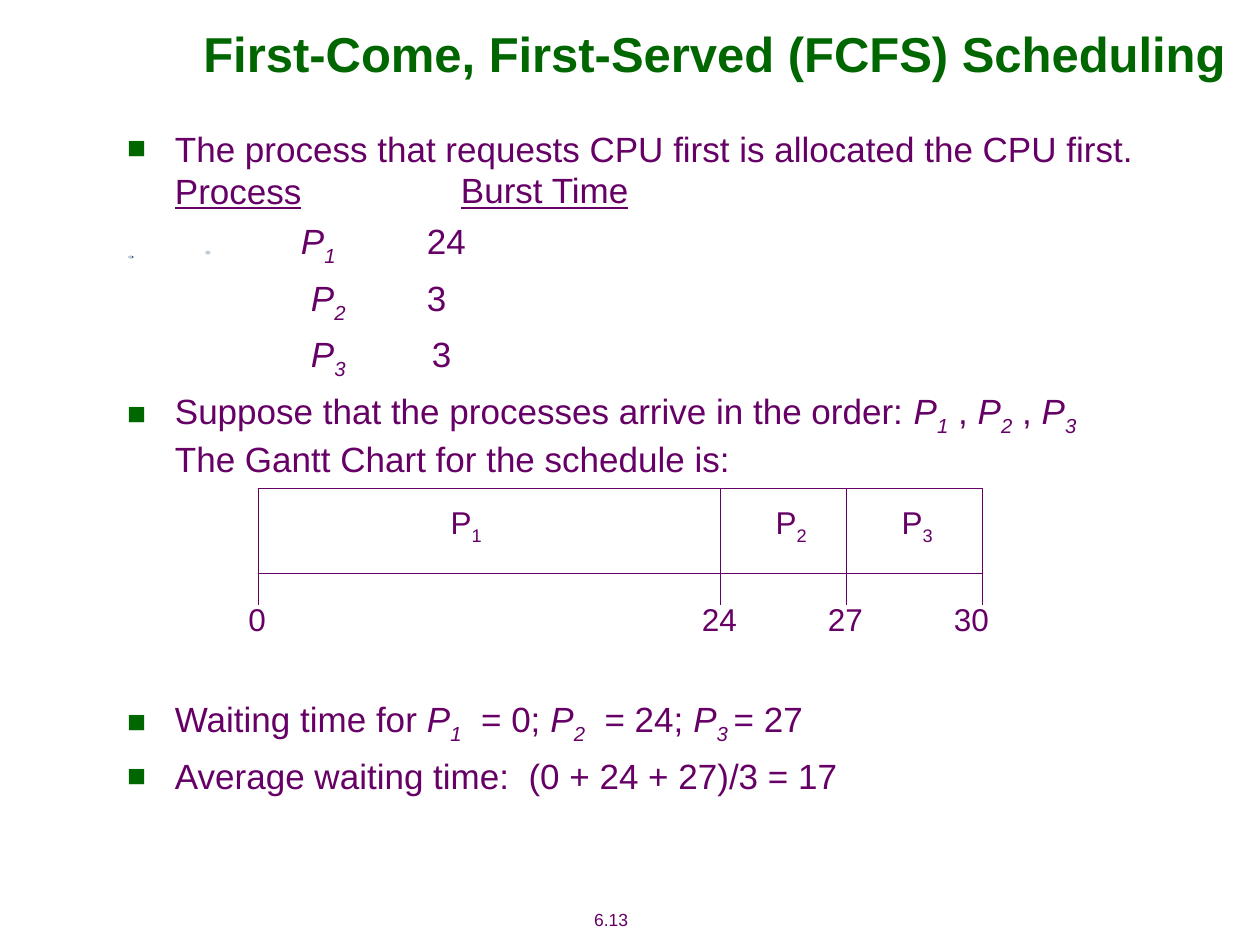
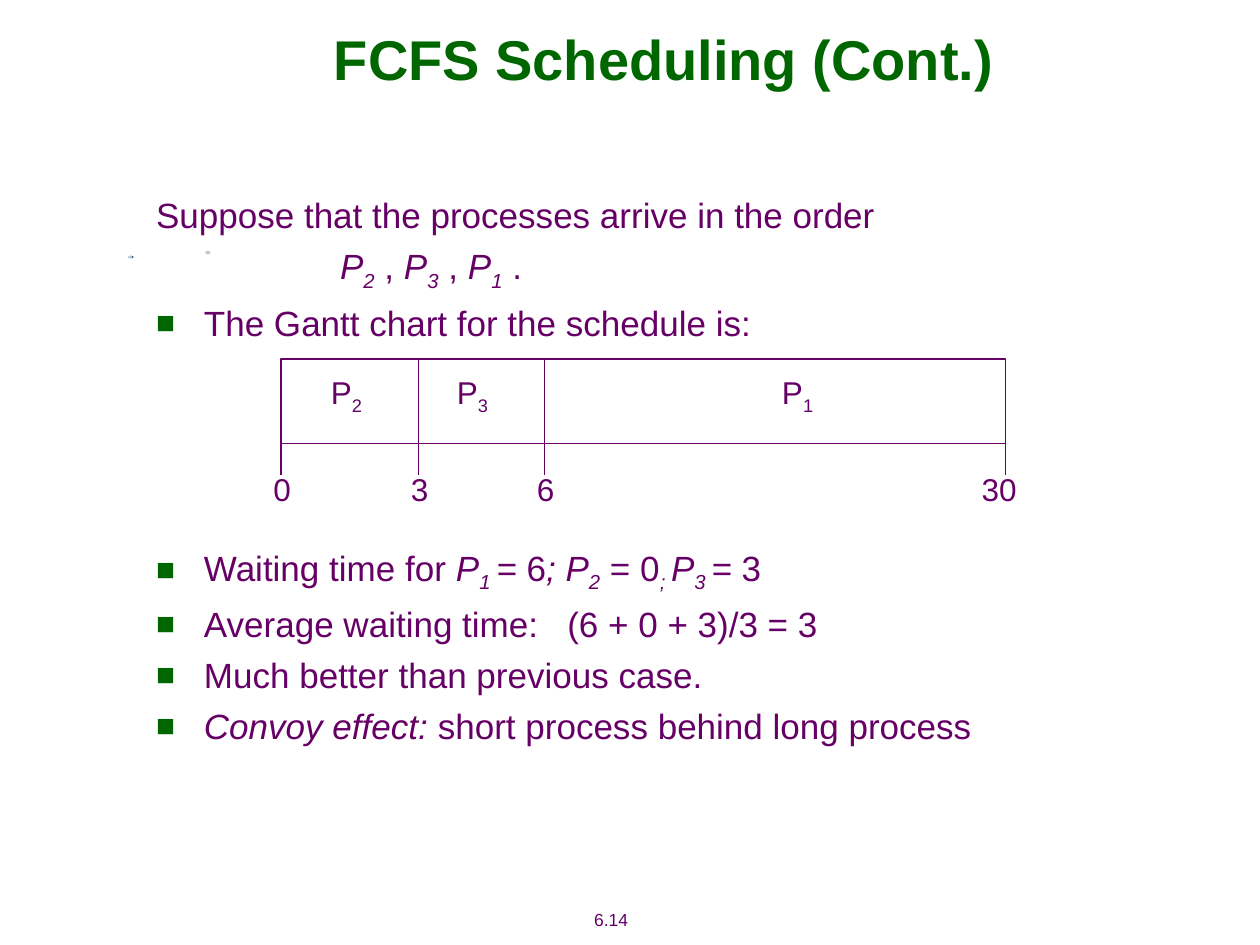
import pptx
import pptx.dml.color
import pptx.enum.shapes
import pptx.enum.text
import pptx.oxml.ns
import pptx.util
from lxml import etree

COLS = 100
PURPLE, GREEN, WHITE = "660066", "006600", "FFFFFF"
NAVY, MIST = "284C70", "BFCCD8"
FONT = "Arial"
HANG = 3.8
PROCESS_INDENT = 13.8
SPACE = 0.8
BAR_WIDTH, BAR_HEIGHT, TICK = 57.5, 6.7, 2.5
LINE_BREAK = ("\n", "")

prs = pptx.Presentation()
prs.slide_width = pptx.util.Inches(10)
prs.slide_height = pptx.util.Inches(7.5)


def grid(n):
    return round(prs.slide_width * n / COLS)


def rgb(value):
    return pptx.dml.color.RGBColor.from_string(value)


def add_xml(parent, tag, **attrs):
    return etree.SubElement(parent, pptx.oxml.ns.qn(tag), attrs)


def add_runs(p, runs, size, color=PURPLE, bold=False):
    for text, style in runs:
        if (text, style) == LINE_BREAK:
            p.add_line_break()
            continue
        r = p.add_run()
        r.text = text
        r.font.name = FONT
        r.font.size = pptx.util.Pt(size)
        r.font.bold = bold
        r.font.italic = "i" in style
        r.font.underline = "u" in style
        r.font.color.rgb = rgb(color)
        if "s" in style:
            r.font._element.set("baseline", "-25000")


def add_box(slide, box, anchor=pptx.enum.text.MSO_ANCHOR.MIDDLE, wrap=True):
    tf = slide.shapes.add_textbox(*map(grid, box)).text_frame
    tf.word_wrap = wrap
    tf.vertical_anchor = anchor
    return tf


def add_label(slide, box, runs, size, color=PURPLE, bold=False, wrap=False):
    p = add_box(slide, box, wrap=wrap).paragraphs[0]
    p.alignment = pptx.enum.text.PP_ALIGN.CENTER
    add_runs(p, runs, size, color, bold)


def add_shape(slide, kind, box, fill, line=None):
    sp = slide.shapes.add_shape(kind, *map(grid, box))
    sp.shadow.inherit = False
    sp.fill.solid()
    sp.fill.fore_color.rgb = rgb(fill)
    if line:
        sp.line.color.rgb = rgb(line)
        sp.line.width = pptx.util.Pt(0.75)
    else:
        sp.line.fill.background()


def add_vertical(slide, x, top, bottom):
    line = slide.shapes.add_connector(
        pptx.enum.shapes.MSO_CONNECTOR.STRAIGHT, grid(x), grid(top), grid(x), grid(bottom))
    line.line.color.rgb = rgb(PURPLE)
    line.line.width = pptx.util.Pt(0.75)
    add_xml(line._element.spPr, "a:effectLst")


def new_slide(title, title_box, title_size, number):
    slide = prs.slides.add_slide(prs.slide_layouts[6])
    oval = pptx.enum.shapes.MSO_SHAPE.OVAL
    for box, fill in (((10.2, 20.3, 0.4, 0.2), NAVY),
                      ((10.2, 20.3, 0.3, 0.2), MIST),
                      ((16.3, 19.9, 0.4, 0.3), MIST)):
        add_shape(slide, oval, box, fill)
    add_label(slide, (43.8, 71.6, 9.4, 2.7), [(number, "")], 10)
    add_label(slide, title_box, [(title, "")], title_size, GREEN, bold=True, wrap=True)
    return slide


def process(n, tail=""):
    return [("P", "i"), (n + tail, "is")]


def plain(text):
    return [(text, "")]


def bullet(runs, before=5):
    return runs, True, HANG, before


def row(runs, indent=0, before=5):
    return runs, False, indent, before


def add_body(slide, box, paragraphs):
    tf = add_box(slide, box, pptx.enum.text.MSO_ANCHOR.TOP)
    for i, (runs, bulleted, indent, before) in enumerate(paragraphs):
        p = tf.add_paragraph() if i else tf.paragraphs[0]
        p.space_before = pptx.util.Pt(before)
        pPr = p._p.get_or_add_pPr()
        pPr.set("marL", str(grid(indent)))
        pPr.set("indent", str(-grid(indent) if bulleted else 0))
        if bulleted:
            add_xml(add_xml(pPr, "a:buClr"), "a:srgbClr", val=GREEN)
            add_xml(pPr, "a:buSzPct", val="90000")
            add_xml(pPr, "a:buFont", typeface=FONT)
            add_xml(pPr, "a:buChar", char="■")
        else:
            add_xml(pPr, "a:buNone")
        add_runs(p, runs, 20)


def add_gantt(slide, left, top, jobs, edges, times):
    bottom = top + BAR_HEIGHT
    add_shape(slide, pptx.enum.shapes.MSO_SHAPE.RECTANGLE,
              (left, top, BAR_WIDTH, BAR_HEIGHT), WHITE, PURPLE)
    for n, center in jobs:
        add_label(slide, (left + center - 2.25, top + 0.6, 4.5, 4.4), [("P", ""), (n, "s")], 18)
    for x in edges:
        add_vertical(slide, left + x, top, bottom)
    for x in (0, *edges, BAR_WIDTH):
        add_vertical(slide, left + x, bottom, bottom + TICK)
    for time, center in times:
        add_label(slide, (left + center - 2.4, top + 8.3, 4.8, 4), plain(time), 18)


def first_come_slide():
    slide = new_slide("First-Come, First-Served (FCFS) Scheduling", (11.1, 1.7, 91.2, 5), 28, "6.13")
    add_body(slide, (9.1, 9.6, 85.1, 59.3), [
        bullet(plain("The process that requests CPU first is allocated the CPU first.")),
        row([("Process", "u")], HANG, 0),
        row(process("1"), PROCESS_INDENT),
        row(process("2"), PROCESS_INDENT + SPACE),
        row(process("3"), PROCESS_INDENT + SPACE),
        bullet(plain("Suppose that the processes arrive in the order: ") + process("1")
               + plain(" , ") + process("2") + plain(" , ") + process("3")
               + [LINE_BREAK] + plain("The Gantt Chart for the schedule is:")),
        bullet(plain("Waiting time for ") + process("1") + plain("  = 0; ") + process("2")
               + plain("  = 24; ") + process("3", " ") + plain("= 27"), 125),
        bullet(plain("Average waiting time:  (0 + 24 + 27)/3 = 17")),
    ])
    add_body(slide, (32.9, 12.9, 20, 17.8), [
        row([("Burst Time", "u")], 2.7),
        row(plain("24")),
        row(plain("3"), before=8.4),
        row(plain("3"), 0.4, 8.4),
    ])
    add_gantt(slide, 20.5, 38.8, (("1", 16.5), ("2", 42.3), ("3", 52.3)), (36.7, 46.7),
              (("0", -0.1), ("24", 36.6), ("27", 46.6), ("30", 56.6)))


def continued_slide():
    slide = new_slide("FCFS Scheduling (Cont.)", (12.8, 0, 79.8, 9.2), 32, "6.14")
    add_body(slide, (11.4, 14.9, 76.9, 45), [
        row(plain("Suppose that the processes arrive in the order")),
        row(process("2") + plain(" , ") + process("3") + plain(" , ") + process("1") + plain(" ."),
            PROCESS_INDENT + SPACE),
        bullet(plain("The Gantt chart for the schedule is:")),
        bullet(plain("Waiting time for ") + process("1", " ")
               + [("=", "i"), (" 6", ""), ("; P", "i"), ("2", "is"), (" = 0", ""), ("; ", "is")]
               + process("3", " ") + [("= ", "i"), ("3", "")], 116),
        bullet(plain("Average waiting time:   (6 + 0 + 3)/3 = 3")),
        bullet(plain("Much better than previous case.")),
        bullet([("Convoy effect:", "i"), (" short process behind long process", "")]),
    ])
    add_gantt(slide, 22.3, 28.5, (("2", 5.2), ("3", 15.2), ("1", 41)), (10.9, 20.9),
              (("0", 0.1), ("3", 11), ("6", 21), ("30", 57)))


def main():
    first_come_slide()
    continued_slide()
    prs.save("out.pptx")


if __name__ == "__main__":
    main()
